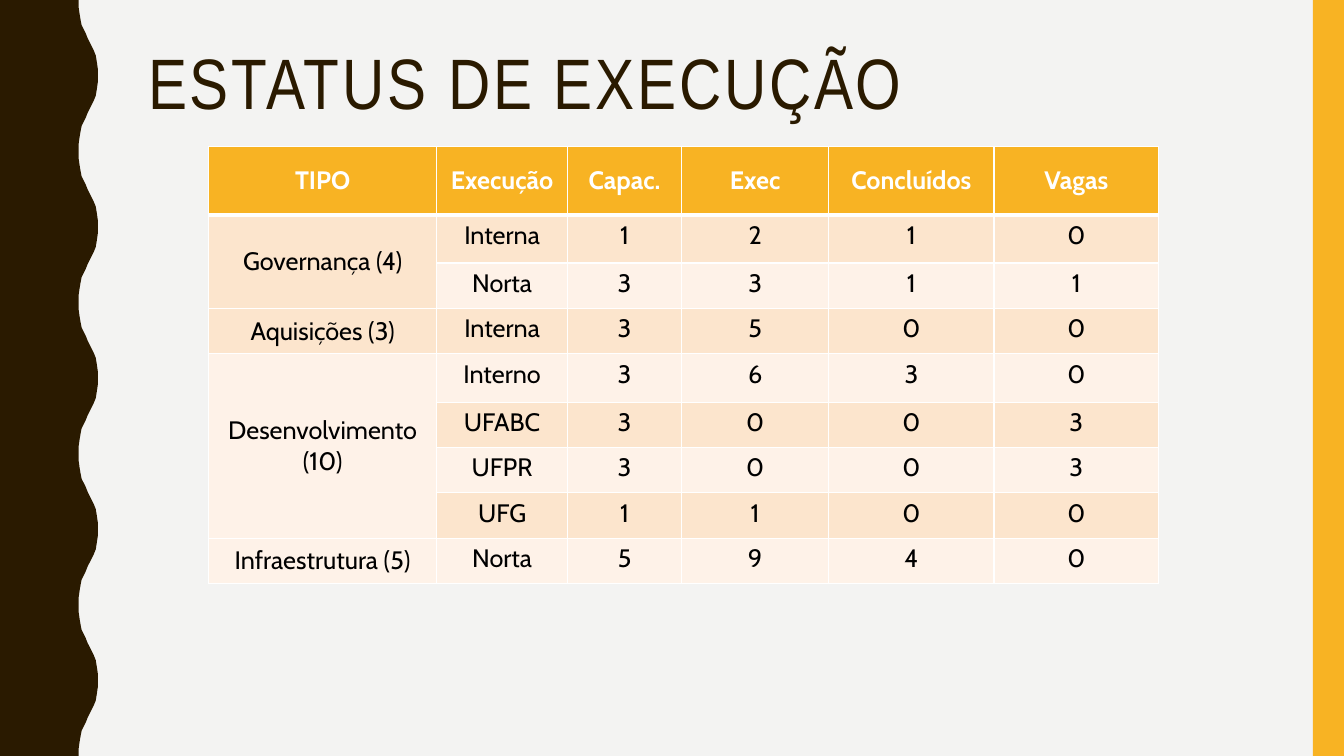
"""Build the execution status slide with its table of work groups."""
from lxml import etree
from pptx import Presentation
from pptx.dml.color import RGBColor
from pptx.enum.shapes import MSO_SHAPE
from pptx.enum.text import MSO_ANCHOR, MSO_AUTO_SIZE, PP_ALIGN
from pptx.oxml.ns import qn
from pptx.util import Inches, Pt

RECTANGLE = MSO_SHAPE.RECTANGLE
CENTER, LEFT = PP_ALIGN.CENTER, PP_ALIGN.LEFT
TOP, MIDDLE = MSO_ANCHOR.TOP, MSO_ANCHOR.MIDDLE
NO_AUTOFIT = MSO_AUTO_SIZE.NONE

BROWN, GOLD, PAPER = "2A1A00", "F8B323", "F3F3F2"
WHITE, BLACK = "FFFFFF", "000000"
BANDS = ("FCE5CD", "FEF2E8")

TITLE = "ESTATUS DE EXECUÇÃO"
HEADER = ("TIPO", "Execução", "Capac.", "Exec", "Concluídos", "Vagas")
GROUPS = [
    ("Governança (4)", [("Interna", 1, 2, 1, 0), ("Norta", 3, 3, 1, 1)]),
    ("Aquisições (3)", [("Interna", 3, 5, 0, 0)]),
    ("Desenvolvimento (10)", [("Interno", 3, 6, 3, 0), ("UFABC", 3, 0, 0, 3),
                              ("UFPR", 3, 0, 0, 3), ("UFG", 1, 1, 0, 0)]),
    ("Infraestrutura (5)", [("Norta", 5, 9, 4, 0)]),
]
COLUMN_WIDTHS = (2.26, 1.3, 1.13, 1.46, 1.64, 1.63)
ROW_HEIGHTS = (0.68, 0.48, 0.45, 0.45, 0.48, 0.45, 0.45, 0.45, 0.45)

WAVE_LENGTH, WAVE_COUNT = 1.5, 5
HALF_WAVE = [(0.78, 0), (0.78, 0.07), (0.79, 0.14), (0.8, 0.2), (0.81, 0.25),
             (0.83, 0.29), (0.85, 0.33), (0.87, 0.38), (0.89, 0.42), (0.91, 0.46),
             (0.93, 0.5), (0.95, 0.55), (0.96, 0.61), (0.97, 0.68), (0.97, 0.75)]


def color(value):
    return RGBColor.from_string(value)


def paint(shape, fill):
    shape.shadow.inherit = False
    shape.fill.solid()
    shape.fill.fore_color.rgb = color(fill)
    shape.line.fill.background()


def add_wave(page):
    wave = HALF_WAVE + [(x, WAVE_LENGTH - y) for x, y in HALF_WAVE[-2::-1]]
    edge = [(x, y + WAVE_LENGTH * number) for number in range(WAVE_COUNT) for x, y in wave]
    points = edge + [(0, WAVE_LENGTH * WAVE_COUNT)]
    builder = page.shapes.build_freeform(0, 0)
    builder.add_line_segments([(Inches(x), Inches(y)) for x, y in points])
    paint(builder.convert_to_shape(), BROWN)


def add_title(page):
    title = page.shapes.title
    title.left, title.top = Inches(1.37), Inches(0.42)
    title.width, title.height = Inches(11.13), Inches(1.63)
    frame = title.text_frame
    frame.text = TITLE
    frame.auto_size = NO_AUTOFIT
    frame.vertical_anchor = TOP
    para = frame.paragraphs[0]
    para.alignment = LEFT
    para.line_spacing = 0.9
    font = para.runs[0].font
    font.name, font.size = "Arial Narrow", Pt(51)
    font.color.rgb = color(BROWN)
    para.runs[0]._r.get_or_add_rPr().set("spc", "200")


def set_borders(cell, top, bottom):
    properties = cell._tc.get_or_add_tcPr()
    sides = (("a:lnL", 1), ("a:lnR", 1), ("a:lnT", top), ("a:lnB", bottom))
    for position, (tag, width) in enumerate(sides):
        line = etree.Element(qn(tag), w=str(Pt(width)))
        fill = etree.SubElement(line, qn("a:solidFill"))
        etree.SubElement(fill, qn("a:srgbClr"), val=WHITE)
        properties.insert(position, line)


def format_cell(cell, row, column):
    header = row == 0
    cell.fill.solid()
    cell.fill.fore_color.rgb = color(GOLD if header else BANDS[(row - 1) % 2])
    cell.vertical_anchor = MIDDLE if header or column == 0 else TOP
    set_borders(cell, 3 if row == 1 else 1, 3 if header else 1)
    para = cell.text_frame.paragraphs[0]
    para.alignment = CENTER
    for span in para.runs:
        span.font.name, span.font.size = "Cabin", Pt(18)
        span.font.bold = header
        span.font.color.rgb = color(WHITE if header else BLACK)


def add_status_table(page):
    rows = [HEADER]
    merges = []
    for name, entries in GROUPS:
        merges.append((len(rows), len(rows) + len(entries) - 1))
        for number, entry in enumerate(entries):
            rows.append(("" if number else name, *entry))
    frame = page.shapes.add_table(
        len(rows), len(HEADER), Inches(2.07), Inches(1.45),
        Inches(sum(COLUMN_WIDTHS)), Inches(sum(ROW_HEIGHTS)))
    table = frame.table
    table.first_row = table.horz_banding = False
    for column, width in zip(table.columns, COLUMN_WIDTHS):
        column.width = Inches(width)
    for row, height in zip(table.rows, ROW_HEIGHTS):
        row.height = Inches(height)
    for row, values in enumerate(rows):
        for column, value in enumerate(values):
            cell = table.cell(row, column)
            cell.text_frame.text = str(value)
            format_cell(cell, row, column)
    for first, last in merges:
        if last > first:
            table.cell(first, 0).merge(table.cell(last, 0))


def main():
    deck = Presentation()
    deck.slide_width, deck.slide_height = Inches(13.33), Inches(7.5)
    page = deck.slides.add_slide(deck.slide_layouts[5])
    page.background.fill.solid()
    page.background.fill.fore_color.rgb = color(PAPER)
    add_wave(page)
    stripe = page.shapes.add_shape(RECTANGLE, Inches(13.02), 0, Inches(0.31), Inches(7.5))
    paint(stripe, GOLD)
    add_title(page)
    add_status_table(page)
    deck.save("out.pptx")


if __name__ == "__main__":
    main()
